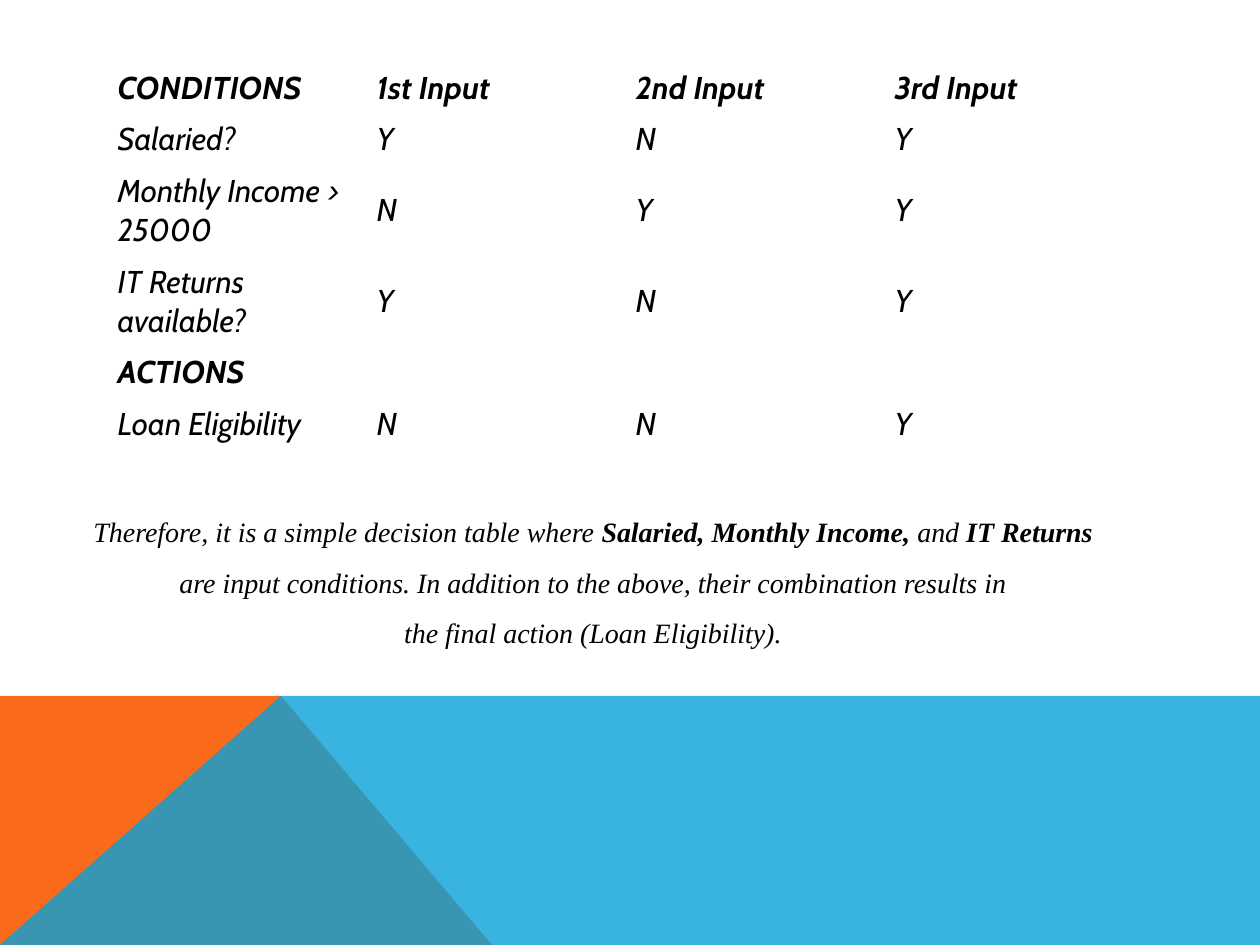
from lxml import etree
from pptx import Presentation
from pptx.dml.color import RGBColor
from pptx.enum.text import MSO_ANCHOR, MSO_AUTO_SIZE, PP_ALIGN
from pptx.oxml.ns import qn
from pptx.util import Pt

SCALE = 914400 / 126
MIDDLE = MSO_ANCHOR.MIDDLE
GROW = MSO_AUTO_SIZE.SHAPE_TO_FIT_TEXT
CENTER = PP_ALIGN.CENTER

BLACK = RGBColor(0x00, 0x00, 0x00)
ORANGE = RGBColor(0xF9, 0x6A, 0x1B)
BLUE = RGBColor(0x08, 0xA1, 0xD9)

ROWS = [
    ("CONDITIONS", "1st Input", "2nd Input", "3rd Input"),
    ("Salaried?", "Y", "N", "Y"),
    ("Monthly Income > 25000", "N", "Y", "Y"),
    ("IT Returns available?", "Y", "N", "Y"),
    ("ACTIONS", "", "", ""),
    ("Loan Eligibility", "N", "N", "Y"),
]
HEADS = ("CONDITIONS", "ACTIONS")
TALL = (2, 3)

NOTE = [
    [
        ("Therefore, it is a simple decision table where ", False),
        ("Salaried, Monthly Income,", True),
        (" and ", False),
        ("IT Returns", True),
    ],
    [("are input conditions. In addition to the above, their combination results in", False)],
    [("the final action (Loan Eligibility).", False)],
]


def px(num):
    """Turn px into EMU."""
    return round(num * SCALE)


def style(font, name, size, bold):
    """Give a font the italic black look of the slide."""
    font.name = name
    font.size = Pt(size)
    font.bold = bold
    font.italic = True
    font.color.rgb = BLACK


def add_area(slide, points, color, alpha=100):
    """Draw one flat closed area through the points."""
    pen = slide.shapes.build_freeform(*points[0], scale=SCALE)
    pen.add_line_segments(points[1:], close=True)
    area = pen.convert_to_shape()
    area.shadow.inherit = False
    area.line.fill.background()
    area.fill.solid()
    area.fill.fore_color.rgb = color
    if alpha < 100:
        tint = area.fill._xPr.find(qn("a:solidFill"))[0]
        etree.SubElement(tint, qn("a:alpha")).set("val", str(alpha * 1000))


def add_band(slide, left, top, width, height):
    """Draw the two overlapping areas at the foot."""
    right, base = left + width, top + height
    peak = (left + 281, top)
    add_area(slide, [(left, base), (left, top), peak, (left + 492, base)], ORANGE)
    add_area(slide, [(left, base), peak, (right, top), (right, base)], BLUE, 80)


def add_grid(slide, left, top, width, height):
    """Place the decision table."""
    frame = slide.shapes.add_table(
        len(ROWS), len(ROWS[0]), px(left), px(top), px(width), px(height)
    )
    table = frame.table
    table.first_row = False
    table.horz_banding = False
    short = height * 2 // 15
    tall = (height - short * (len(ROWS) - len(TALL))) / len(TALL)
    for row, texts in enumerate(ROWS):
        table.rows[row].height = px(tall if row in TALL else short)
        for col, text in enumerate(texts):
            cell = table.cell(row, col)
            cell.fill.background()
            cell.vertical_anchor = MIDDLE
            cell.text_frame.text = text
            for run in cell.text_frame.paragraphs[0].runs:
                style(run.font, "Cabin", 18, texts[0] in HEADS)


def add_note(slide, left, top, width, height):
    """Place the closing remark."""
    box = slide.shapes.add_textbox(px(left), px(top), px(width), px(height))
    frame = box.text_frame
    frame.word_wrap = False
    frame.auto_size = GROW
    frame.vertical_anchor = MIDDLE
    for row, parts in enumerate(NOTE):
        para = frame.add_paragraph() if row else frame.paragraphs[0]
        para.alignment = CENTER
        para.line_spacing = 1.5
        for text, bold in parts:
            run = para.add_run()
            run.text = text
            style(run.font, "Times New Roman", 16, bold)


def main():
    """Build and save the slide."""
    deck = Presentation()
    deck.slide_width, deck.slide_height = px(1260), px(945)
    slide = deck.slides.add_slide(deck.slide_layouts[6])
    add_band(slide, 0, 696, 1260, 249)
    add_grid(slide, 105, 63, 1036, 382)
    add_note(slide, 73, 494, 1040, 159)
    deck.save("out.pptx")


if __name__ == "__main__":
    main()
